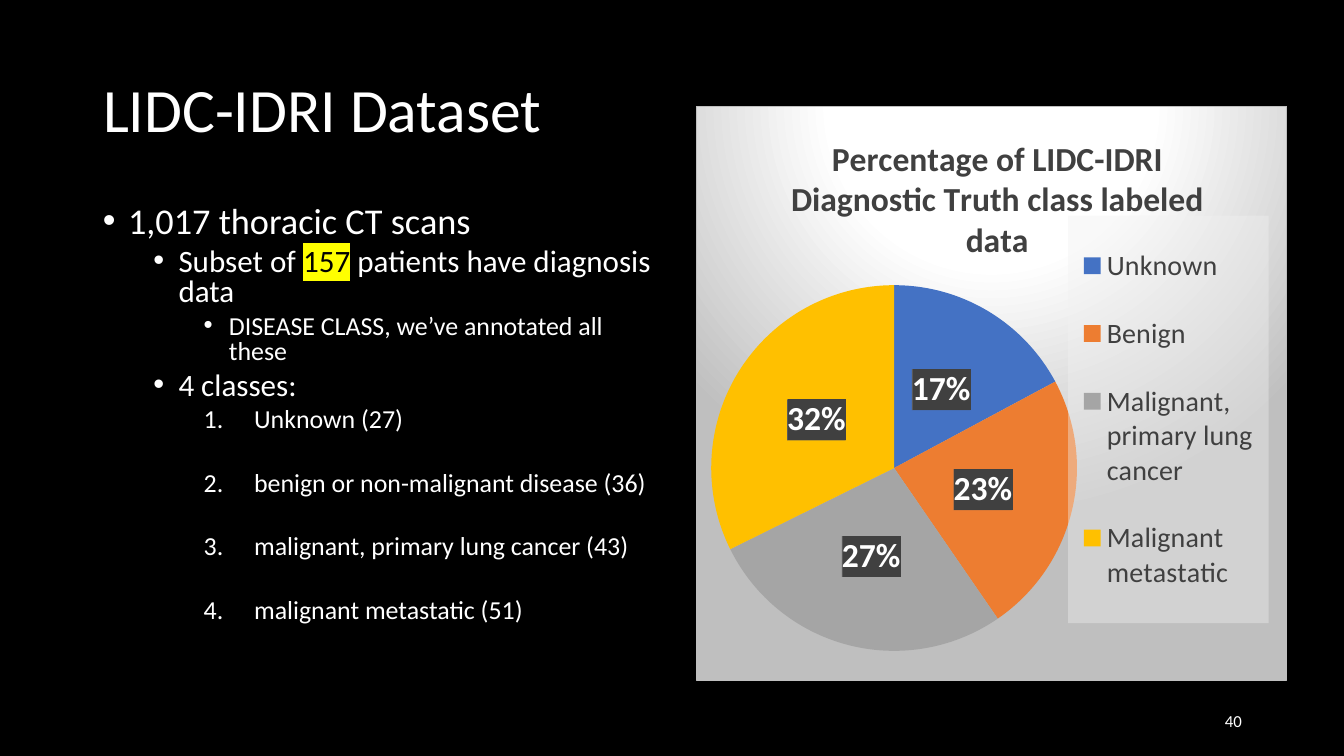
from dataclasses import dataclass

from lxml import etree
from pptx import Presentation
from pptx.chart.data import CategoryChartData
from pptx.dml.color import RGBColor
from pptx.enum.chart import XL_CHART_TYPE, XL_LABEL_POSITION, XL_LEGEND_POSITION
from pptx.enum.text import MSO_ANCHOR, MSO_AUTO_SIZE, PP_ALIGN
from pptx.oxml import parse_xml
from pptx.oxml.ns import nsdecls, qn
from pptx.util import Emu, Pt


@dataclass(frozen=True)
class Theme:
    """Hold the colours, font and type sizes of the slide."""
    font: str = "Calibri"
    back: str = "000000"
    ink: str = "FFFFFF"
    mark: str = "FFFF00"
    chart_ink: str = "404040"
    chart_edge: str = "BFBFBF"
    legend_back: str = "F2F2F2"
    label_stripe: str = "595959"
    slices: tuple = ("4472C4", "ED7D31", "A5A5A5", "FFC000")
    title: float = 44
    levels: tuple = (25.9, 22.2, 18.5)
    chart_title: float = 24
    legend: float = 20
    page: float = 12


T = Theme()
CLASSES = (("Unknown", 17), ("Benign", 23),
           ("Malignant, primary lung cancer", 27), ("Malignant metastatic", 32))
BULLETS = (
    (0, ("1,017 thoracic CT scans",)),
    (1, ("Subset of ", "157", " patients have diagnosis data")),
    (2, ("DISEASE CLASS, we’ve annotated all these",)),
    (1, ("4 classes:",)),
)
NUMBERED = ("Unknown (27)", "benign or non-malignant disease (36)",
            "malignant, primary lung cancer (43)", "malignant metastatic (51)")


def px(n):
    """Turn slide pixels into EMU."""
    return Emu(round(n * 914400 / 100.8))


def set_font(font, size, color=T.ink, bold=False):
    """Format a font in the theme typeface."""
    font.size, font.bold = Pt(size), bold
    font.color.rgb = RGBColor.from_string(color)
    font.name = T.font


def add_text(p, text, size, color=T.ink, highlight=None):
    """Add a formatted run to a paragraph."""
    r = p.add_run()
    r.text = text
    set_font(r.font, size, color)
    if highlight:
        mark = parse_xml(f'<a:highlight {nsdecls("a")}><a:srgbClr val="{highlight}"/></a:highlight>')
        r.font._element.find(qn("a:solidFill")).addnext(mark)


def setup_frame(s, anchor):
    """Prepare a wrapping text frame of fixed size."""
    tf = s.text_frame
    tf.word_wrap = True
    tf.auto_size = MSO_AUTO_SIZE.NONE
    tf.vertical_anchor = anchor
    return tf


def add_box(slide, x, y, w, h, anchor=MSO_ANCHOR.TOP):
    """Add a text box and return its frame."""
    return setup_frame(slide.shapes.add_textbox(px(x), px(y), px(w), px(h)), anchor)


def format_item(p, level, left, hang, before, numbered=False):
    """Give a list paragraph its bullet, indent and spacing."""
    p.level = level
    p.line_spacing = 0.8
    p.space_before = Pt(before)
    pr = p._p.get_or_add_pPr()
    pr.set("marL", str(Emu(int(left * 914400))))
    pr.set("indent", str(Emu(int(-hang * 914400))))
    if numbered:
        etree.SubElement(pr, qn("a:buFont"), typeface="+mj-lt")
        etree.SubElement(pr, qn("a:buAutoNum"), type="arabicPeriod")
    else:
        etree.SubElement(pr, qn("a:buFont"), typeface="Arial")
        etree.SubElement(pr, qn("a:buChar"), char="•")


def add_title(slide, text):
    """Place and fill the slide title."""
    s = slide.shapes.title
    s.left, s.top, s.width, s.height = px(93), px(40), px(1159), px(146)
    p = setup_frame(s, MSO_ANCHOR.MIDDLE).paragraphs[0]
    p.alignment, p.line_spacing = PP_ALIGN.LEFT, 0.9
    add_text(p, text, T.title)


def add_body(slide):
    """Add the bullets and the numbered classes."""
    tf = add_box(slide, 93, 202, 572, 480)
    for i, (level, parts) in enumerate(BULLETS):
        p = tf.add_paragraph() if i else tf.paragraphs[0]
        format_item(p, level, 0.25 + 0.5 * level, 0.25, 5 if i else 0)
        for part in parts:
            marked = part == "157"
            add_text(p, part, T.levels[level], T.back if marked else T.ink,
                     T.mark if marked else None)
    for i, text in enumerate(NUMBERED):
        p = tf.add_paragraph()
        format_item(p, 2, 1.5, 0.5, 27.5 if i else 5, numbered=True)
        add_text(p, text, T.levels[2])


def layout_xml(x, y, w=None, h=None, inner=False):
    """Build a manual chart layout in fractions of the chart."""
    target = '<c:layoutTarget val="inner"/>' if inner else ""
    size = f'<c:w val="{w}"/><c:h val="{h}"/>' if w else ""
    return parse_xml(
        f'<c:layout {nsdecls("c")}><c:manualLayout>{target}<c:xMode val="edge"/>'
        f'<c:yMode val="edge"/><c:x val="{x}"/><c:y val="{y}"/>{size}'
        '</c:manualLayout></c:layout>')


def props_xml(fill):
    """Wrap a fill in chart shape properties."""
    return parse_xml(f'<c:spPr {nsdecls("c", "a")}>{fill}</c:spPr>')


def set_layout(parent, after, layout):
    """Put a layout after the named child, replacing any other."""
    for old in parent.findall(qn("c:layout")):
        parent.remove(old)
    if after is None:
        parent.insert(0, layout)
    else:
        parent.find(qn(after)).addnext(layout)


def fill_chart(chart):
    """Give the chart its radial background and thin border."""
    stops = "".join(f'<a:gs pos="{pos}"><a:srgbClr val="{color}"/></a:gs>' for pos, color in
                    ((0, T.ink), (39000, T.ink), (100000, T.chart_edge)))
    chart._chartSpace.find(qn("c:chart")).addnext(props_xml(
        f'<a:gradFill><a:gsLst>{stops}</a:gsLst><a:path path="circle">'
        '<a:fillToRect l="50000" t="-80000" r="50000" b="180000"/></a:path></a:gradFill>'
        f'<a:ln w="9525"><a:solidFill><a:srgbClr val="{T.chart_edge}"/></a:solidFill></a:ln>'))


def format_legend(chart):
    """Place the legend on its translucent panel."""
    chart.has_legend = True
    legend = chart.legend
    legend.position = XL_LEGEND_POSITION.RIGHT
    legend.include_in_layout = False
    set_font(legend.font, T.legend, T.chart_ink)
    el = legend._element
    set_layout(el, "c:legendPos", layout_xml(0.63, 0.19, 0.34, 0.71))
    el.find(qn("c:txPr")).addprevious(props_xml(
        f'<a:solidFill><a:srgbClr val="{T.legend_back}"><a:alpha val="39000"/>'
        '</a:srgbClr></a:solidFill>'))


def format_slices(chart):
    """Colour the slices and label them with percentages."""
    plot = chart.plots[0]
    plot.vary_by_categories = True
    series = plot.series[0]
    for i, color in enumerate(T.slices):
        fill = series.points[i].format.fill
        fill.solid()
        fill.fore_color.rgb = RGBColor.from_string(color)
    labels = series.data_labels
    labels.show_percentage, labels.show_value = True, False
    labels.number_format, labels.number_format_is_linked = "0%", False
    labels.position = XL_LABEL_POSITION.CENTER
    set_font(labels.font, T.chart_title, bold=True)
    labels._element.find(qn("c:txPr")).addprevious(props_xml(
        f'<a:pattFill prst="dkVert"><a:fgClr><a:srgbClr val="{T.chart_ink}"/></a:fgClr>'
        f'<a:bgClr><a:srgbClr val="{T.label_stripe}"/></a:bgClr></a:pattFill>'))


def add_pie(slide):
    """Add the pie chart of the diagnosis classes."""
    data = CategoryChartData()
    data.categories = [name for name, _ in CLASSES]
    data.add_series("Series 1", [value for _, value in CLASSES])
    chart = slide.shapes.add_chart(XL_CHART_TYPE.PIE, px(696), px(106), px(591), px(575), data).chart
    set_font(chart.font, 10)
    chart.has_title = True
    p = chart.chart_title.text_frame.paragraphs[0]
    add_text(p, "Percentage of LIDC-IDRI Diagnostic Truth class labeled data",
             T.chart_title, T.chart_ink)
    p.runs[0].font.bold = True
    set_layout(chart.chart_title._element, "c:tx", layout_xml(0.15, 0.04))
    set_layout(chart._chartSpace.find(".//" + qn("c:plotArea")), None,
               layout_xml(0.025, 0.31, 0.62, 0.64, inner=True))
    format_slices(chart)
    format_legend(chart)
    fill_chart(chart)


def main():
    """Build and save the slide."""
    prs = Presentation()
    prs.slide_width, prs.slide_height = px(1344), px(756)
    slide = prs.slides.add_slide(prs.slide_layouts[5])
    slide.background.fill.solid()
    slide.background.fill.fore_color.rgb = RGBColor.from_string(T.back)
    add_title(slide, "LIDC-IDRI Dataset")
    add_body(slide)
    p = add_box(slide, 950, 701, 302, 40, MSO_ANCHOR.MIDDLE).paragraphs[0]
    p.alignment = PP_ALIGN.RIGHT
    add_text(p, "40", T.page)
    add_pie(slide)
    prs.save("out.pptx")


if __name__ == "__main__":
    main()
